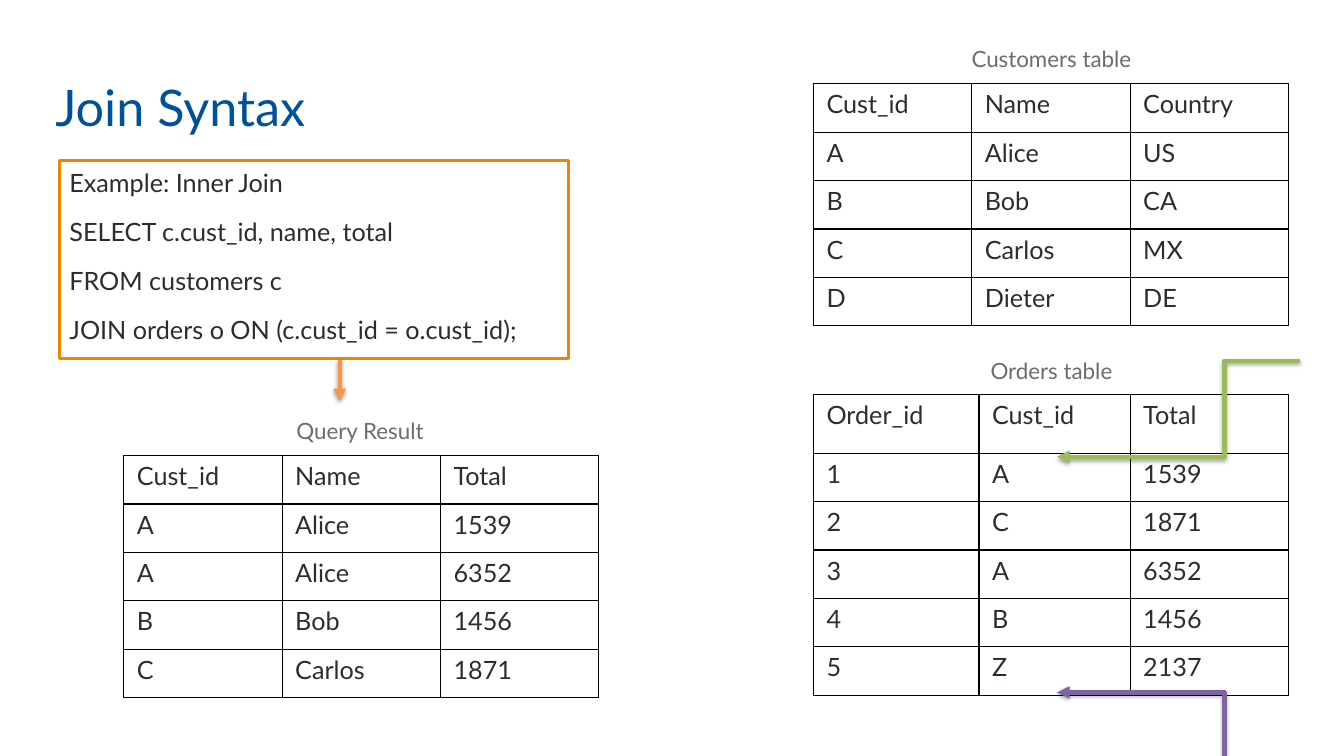
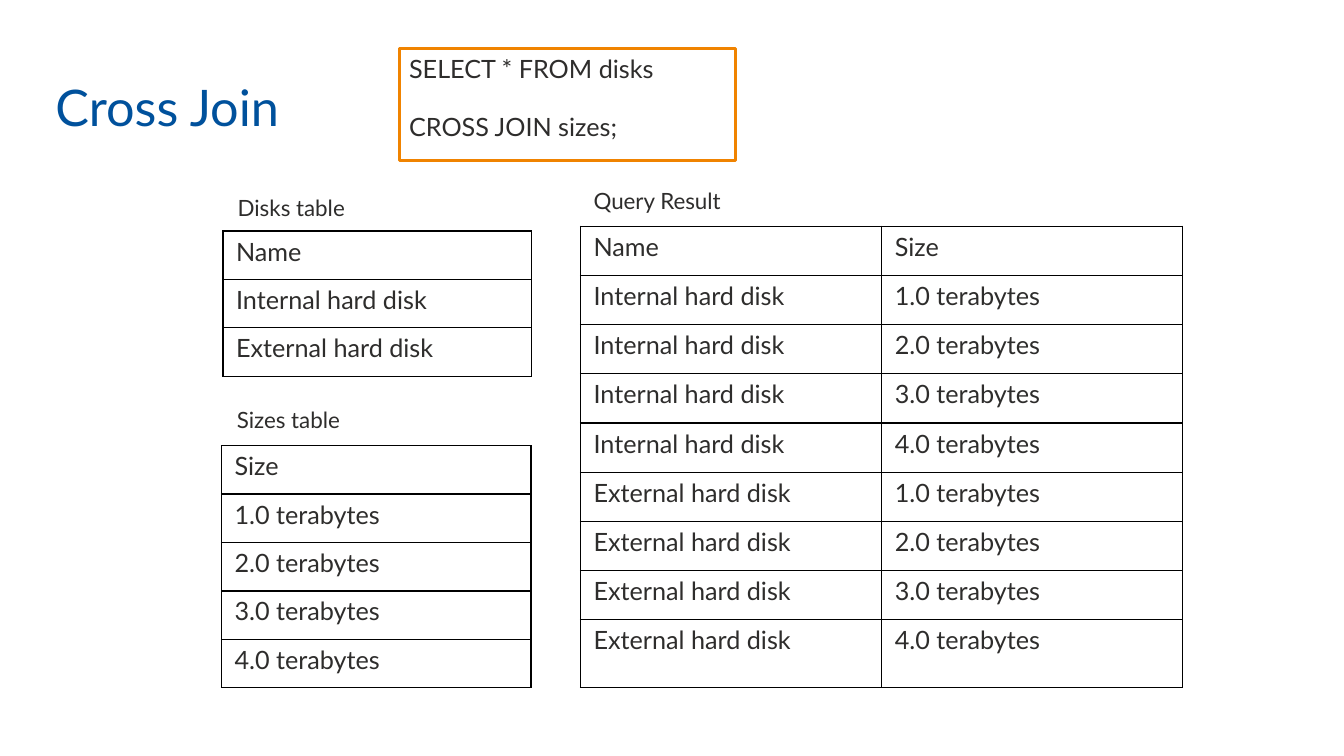
import itertools

import lxml.etree
import pptx
import pptx.dml.color
import pptx.enum.shapes
import pptx.enum.text
import pptx.oxml.ns
import pptx.util

Cm = pptx.util.Cm
Pt = pptx.util.Pt
RGBColor = pptx.dml.color.RGBColor
PP_ALIGN = pptx.enum.text.PP_ALIGN
MSO_ANCHOR = pptx.enum.text.MSO_ANCHOR
MSO_CONNECTOR = pptx.enum.shapes.MSO_CONNECTOR
qn = pptx.oxml.ns.qn

FONT = "Lato"
BLUE = RGBColor(0x00, 0x51, 0x9C)
ORANGE = RGBColor(0xF0, 0x83, 0x00)
DARK = RGBColor(0x2E, 0x2D, 0x2C)
GRAY = RGBColor(0x6D, 0x6D, 0x6D)
WHITE = RGBColor(0xFF, 0xFF, 0xFF)
ARROW_ORANGE = RGBColor(0xF7, 0x96, 0x46)
ARROW_GREEN = RGBColor(0x9B, 0xBB, 0x59)
ARROW_PURPLE = RGBColor(0x80, 0x64, 0xA2)
ROW = 1.22


def add_text(frame, lines, size, color, alignment=PP_ALIGN.LEFT):
    """Fill a text frame with one paragraph per line and return the paragraphs."""
    for number, line in enumerate(lines):
        paragraph = frame.add_paragraph() if number else frame.paragraphs[0]
        paragraph.alignment = alignment
        run = paragraph.add_run()
        run.text = line
        run.font.name = FONT
        run.font.size = Pt(size)
        run.font.color.rgb = color
    return frame.paragraphs


def add_grid(slide, left, top, widths, heights, rows):
    """Add an unfilled table with thin black cell borders; lengths in cm."""
    table = slide.shapes.add_table(
        len(rows), len(widths), Cm(left), Cm(top), Cm(sum(widths)), Cm(sum(heights))
    ).table
    table.first_row = False
    table.horz_banding = False
    for column, width in zip(table.columns, widths):
        column.width = Cm(width)
    for row, height, texts in zip(table.rows, heights, rows):
        row.height = Cm(height)
        for cell, text in zip(row.cells, texts):
            cell.margin_left = cell.margin_right = Cm(0.33)
            cell.margin_top = cell.margin_bottom = Cm(0.13)
            add_text(cell.text_frame, [text], 18, DARK)
            properties = cell._tc.get_or_add_tcPr()
            for side in ("a:lnL", "a:lnR", "a:lnT", "a:lnB"):
                border = lxml.etree.SubElement(properties, qn(side), w=str(Pt(1)))
                fill = lxml.etree.SubElement(border, qn("a:solidFill"))
                lxml.etree.SubElement(fill, qn("a:srgbClr"), val="000000")
            cell.fill.background()


presentation = pptx.Presentation()
presentation.slide_width = Cm(33.87)
presentation.slide_height = Cm(19.05)

# Slides and titles
slides = []
for title_text, title_width in (("Join Syntax", 15.75), ("Cross Join", 25.35)):
    slide = presentation.slides.add_slide(presentation.slide_layouts[5])
    title = slide.shapes.title
    title.left, title.top = Cm(1.14), Cm(0.36)
    title.width, title.height = Cm(title_width), Cm(3.2)
    title.text_frame.vertical_anchor = MSO_ANCHOR.BOTTOM
    title.text_frame.auto_size = pptx.enum.text.MSO_AUTO_SIZE.NONE
    add_text(title.text_frame, [title_text], 36, BLUE)
    slides.append(slide)
join_slide, cross_slide = slides

# Query boxes
join_query = [
    "Example: Inner Join",
    "SELECT c.cust_id, name, total",
    "FROM customers c",
    "JOIN orders o ON (c.cust_id = o.cust_id);",
]
cross_query = ["SELECT * FROM disks", "CROSS JOIN sizes;"]
for slide, left, top, width, height, query, anchor, spacing in (
    (join_slide, 1.5, 4.04, 12.83, 5, join_query, MSO_ANCHOR.MIDDLE, 0.7),
    (cross_slide, 10.06, 1.22, 8.48, 2.82, cross_query, MSO_ANCHOR.TOP, 1.0),
):
    box = slide.shapes.add_shape(
        pptx.enum.shapes.MSO_SHAPE.RECTANGLE, Cm(left), Cm(top), Cm(width), Cm(height)
    )
    box.shadow.inherit = False
    box.fill.solid()
    box.fill.fore_color.rgb = WHITE
    box.line.color.rgb = ORANGE
    box.line.width = Pt(2)
    box.text_frame.word_wrap = True
    box.text_frame.vertical_anchor = anchor
    for number, paragraph in enumerate(add_text(box.text_frame, query, 18, DARK)):
        paragraph.line_spacing = spacing
        paragraph.space_before = Pt(10 if number else 0)
        paragraph.space_after = Pt(10)

# Tables
customers = [
    ("Cust_id", "Name", "Country"),
    ("A", "Alice", "US"),
    ("B", "Bob", "CA"),
    ("C", "Carlos", "MX"),
    ("D", "Dieter", "DE"),
]
orders = [
    ("Order_id", "Cust_id", "Total"),
    ("1", "A", "1539"),
    ("2", "C", "1871"),
    ("3", "A", "6352"),
    ("4", "B", "1456"),
    ("5", "Z", "2137"),
]
join_result = [
    ("Cust_id", "Name", "Total"),
    ("A", "Alice", "1539"),
    ("A", "Alice", "6352"),
    ("B", "Bob", "1456"),
    ("C", "Carlos", "1871"),
]
disks = ["Internal hard disk", "External hard disk"]
sizes = [f"{size}.0 terabytes" for size in range(1, 5)]
cross_result = [("Name", "Size"), *itertools.product(disks, sizes)]

add_grid(join_slide, 20.5, 2.11, [3.99] * 3, [ROW] * 5, customers)
add_grid(join_slide, 20.5, 9.94, [4.17, 3.81, 3.99], [1.48] + [ROW] * 5, orders)
add_grid(join_slide, 3.12, 11.48, [3.99] * 3, [ROW] * 5, join_result)
add_grid(cross_slide, 5.62, 5.82, [7.77], [ROW] * 3, [[name] for name in ["Name", *disks]])
add_grid(cross_slide, 5.58, 11.23, [7.8], [ROW] * 5, [[size] for size in ["Size", *sizes]])
add_grid(cross_slide, 14.63, 5.7, [7.59] * 2, [1.24] * 8 + [1.71], cross_result)

# Table captions
for slide, left, top, width, caption, color, alignment in (
    (join_slide, 20.52, 0.99, 11.96, "Customers table", GRAY, PP_ALIGN.CENTER),
    (join_slide, 20.52, 8.84, 11.96, "Orders table", GRAY, PP_ALIGN.CENTER),
    (join_slide, 3.12, 10.36, 11.91, "Query Result", GRAY, PP_ALIGN.CENTER),
    (cross_slide, 5.66, 4.72, 6.3, "Disks table", DARK, PP_ALIGN.LEFT),
    (cross_slide, 5.64, 10.08, 6.17, "Sizes table", DARK, PP_ALIGN.LEFT),
    (cross_slide, 14.63, 4.55, 5.51, "Query Result", DARK, PP_ALIGN.LEFT),
):
    frame = slide.shapes.add_textbox(Cm(left), Cm(top), Cm(width), Cm(0.99)).text_frame
    frame.word_wrap = True
    frame.margin_left = frame.margin_right = Cm(0.33)
    frame.margin_top = frame.margin_bottom = Cm(0.16)
    add_text(frame, [caption], 16, color, alignment)

# Arrows with a soft shadow below them
for kind, start_x, start_y, end_x, end_y, color in (
    (MSO_CONNECTOR.ELBOW, 32.77, 9.09, 26.64, 11.51, ARROW_GREEN),
    (MSO_CONNECTOR.ELBOW, 32.77, 22.58, 26.64, 17.45, ARROW_PURPLE),
    (MSO_CONNECTOR.STRAIGHT, 8.56, 9.07, 8.56, 10.11, ARROW_ORANGE),
):
    arrow = join_slide.shapes.add_connector(
        kind, Cm(start_x), Cm(start_y), Cm(end_x), Cm(end_y)
    )
    arrow.line.color.rgb = color
    arrow.line.width = Pt(3)
    properties = arrow.element.spPr
    lxml.etree.SubElement(properties.find(qn("a:ln")), qn("a:tailEnd"), type="triangle")
    if kind == MSO_CONNECTOR.ELBOW:
        adjustments = properties.find(qn("a:prstGeom")).find(qn("a:avLst"))
        lxml.etree.SubElement(adjustments, qn("a:gd"), name="adj1", fmla="val 31200")
    effects = lxml.etree.SubElement(properties, qn("a:effectLst"))
    shadow = lxml.etree.SubElement(
        effects, qn("a:outerShdw"), blurRad="40000", dist="20000", dir="5400000", rotWithShape="0"
    )
    shadow_color = lxml.etree.SubElement(shadow, qn("a:srgbClr"), val="000000")
    lxml.etree.SubElement(shadow_color, qn("a:alpha"), val="38000")

presentation.save("out.pptx")
